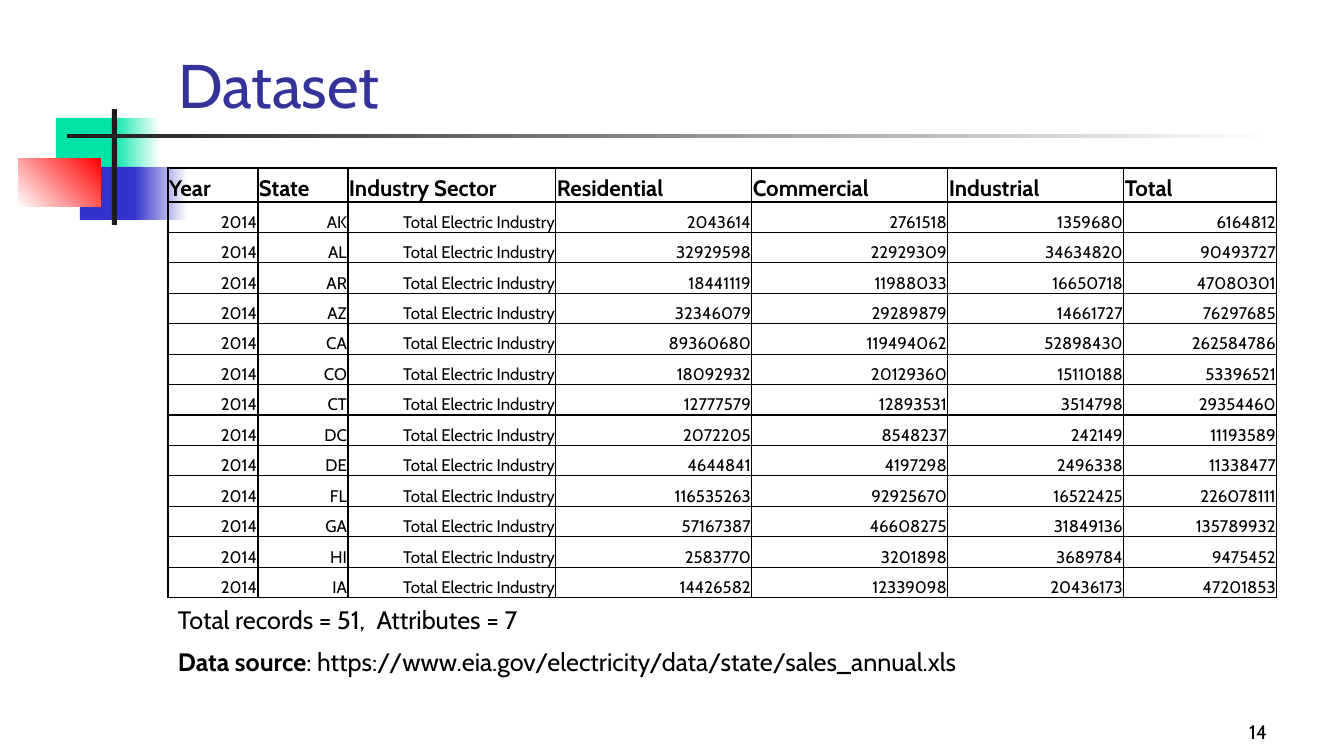
"""Build the Dataset slide with its table of 2014 electricity sales."""
from lxml.etree import SubElement
from pptx import Presentation
from pptx.dml.color import RGBColor
from pptx.enum.shapes import MSO_SHAPE
from pptx.enum.text import MSO_ANCHOR, MSO_AUTO_SIZE, PP_ALIGN
from pptx.oxml import parse_xml
from pptx.oxml.ns import nsdecls, qn
from pptx.util import Emu, Pt

FONT = "Cabin"
BLACK, DARK, WHITE = "000000", "1C1C1C", "FFFFFF"
GREEN, BLUE, RED, NAVY = "00E4A8", "3333CC", "FF0000", "333399"

HEADERS = ["Year", "State", "Industry Sector", "Residential", "Commercial", "Industrial", "Total"]
YEAR, SECTOR = "2014", "Total Electric Industry"
SALES = [
    ("AK", 2043614, 2761518, 1359680, 6164812),
    ("AL", 32929598, 22929309, 34634820, 90493727),
    ("AR", 18441119, 11988033, 16650718, 47080301),
    ("AZ", 32346079, 29289879, 14661727, 76297685),
    ("CA", 89360680, 119494062, 52898430, 262584786),
    ("CO", 18092932, 20129360, 15110188, 53396521),
    ("CT", 12777579, 12893531, 3514798, 29354460),
    ("DC", 2072205, 8548237, 242149, 11193589),
    ("DE", 4644841, 4197298, 2496338, 11338477),
    ("FL", 116535263, 92925670, 16522425, 226078111),
    ("GA", 57167387, 46608275, 31849136, 135789932),
    ("HI", 2583770, 3201898, 3689784, 9475452),
    ("IA", 14426582, 12339098, 20436173, 47201853),
]
COLUMN_WIDTHS = [90, 90, 208, 196, 196, 176, 153]
TABLE_LEFT, TABLE_TOP, TABLE_HEIGHT, HEADER_HEIGHT = 168, 168, 430, 34

DECORATIONS = [
    ((56, 118, 65, 52), [GREEN], 0),
    ((112, 118, 48, 52), [GREEN, WHITE], 0),
    ((80, 167, 62, 53), [BLUE], 0),
    ((134, 167, 54, 53), [BLUE, WHITE], 0),
    ((18, 159, 83, 48), [WHITE, RED], 45),
    ((112, 109, 5, 116), [DARK], 0),
    ((67, 134, 1210, 4), [DARK, WHITE], 0),
]
TITLE = ((168, 0, 1145, 126), [("Dataset", False)],
         {"size": 44, "color": NAVY, "anchor": MSO_ANCHOR.BOTTOM})
NOTES = [
    ((997, 698, 280, 50), [("14", False)],
     {"size": 14, "align": PP_ALIGN.RIGHT, "anchor": MSO_ANCHOR.BOTTOM}),
    ((168, 599, 445, 72), [("Total records = 51,  Attributes = 7", False)], {"size": 18}),
    ((168, 641, 1028, 40),
     [("Data source", True),
      (": https://www.eia.gov/electricity/data/state/sales_annual.xls", False)], {"size": 18}),
]


def px(length):
    return Emu(round(length * 914400 / 100.8))


def rgb(value):
    return RGBColor.from_string(value)


def apply(target, values):
    for name, value in values.items():
        setattr(target, name, value)


def write(frame, spans, size, color=BLACK, align=PP_ALIGN.LEFT, anchor=MSO_ANCHOR.TOP):
    frame.word_wrap = True
    frame.vertical_anchor = anchor
    para = frame.paragraphs[0]
    para.alignment = align
    for text, bold in spans:
        span = para.add_run()
        span.text = text
        apply(span.font, {"name": FONT, "size": Pt(size), "bold": bold})
        span.font.color.rgb = rgb(color)


def add_decoration(page, place, colors, angle):
    block = page.shapes.add_shape(MSO_SHAPE.RECTANGLE, *map(px, place))
    block.shadow.inherit = False
    block.line.fill.background()
    if len(colors) == 1:
        block.fill.solid()
        block.fill.fore_color.rgb = rgb(colors[0])
        return
    block.fill.gradient()
    block.fill.gradient_angle = angle
    for stop, color in zip(block.fill.gradient_stops, colors):
        stop.color.rgb = rgb(color)


def add_borders(cell):
    properties = cell._tc.get_or_add_tcPr()
    for index, side in enumerate("LRTB"):
        line = parse_xml(f'<a:ln{side} {nsdecls("a")} w="12700"/>')
        fill = SubElement(line, qn("a:solidFill"))
        SubElement(fill, qn("a:srgbClr"), val=BLACK)
        properties.insert(index, line)


def fill_cell(cell, text, is_header):
    apply(cell, {"margin_left": px(1), "margin_right": px(1), "margin_top": px(1),
                 "margin_bottom": 0, "vertical_anchor": MSO_ANCHOR.BOTTOM})
    cell.fill.background()
    add_borders(cell)
    para = cell.text_frame.paragraphs[0]
    para.alignment = PP_ALIGN.LEFT if is_header else PP_ALIGN.RIGHT
    span = para.add_run()
    span.text = text
    apply(span.font, {"name": FONT, "size": Pt(16 if is_header else 12), "bold": is_header})
    span.font.color.rgb = rgb(BLACK)


def add_sales_table(page):
    rows = [HEADERS] + [[YEAR, state, SECTOR, *map(str, sales)] for state, *sales in SALES]
    place = (TABLE_LEFT, TABLE_TOP, sum(COLUMN_WIDTHS), TABLE_HEIGHT)
    table = page.shapes.add_table(len(rows), len(HEADERS), *map(px, place)).table
    apply(table, {"first_row": False, "horz_banding": False})
    for column, width in zip(table.columns, COLUMN_WIDTHS):
        column.width = px(width)
    body_height = (TABLE_HEIGHT - HEADER_HEIGHT) / len(SALES)
    for index, (row, texts) in enumerate(zip(table.rows, rows)):
        row.height = px(body_height if index else HEADER_HEIGHT)
        for cell, text in zip(row.cells, texts):
            fill_cell(cell, text, index == 0)


def main():
    deck = Presentation()
    apply(deck, {"slide_width": px(1344), "slide_height": px(756)})
    page = deck.slides.add_slide(deck.slide_layouts[5])
    for decoration in DECORATIONS:
        add_decoration(page, *decoration)
    place, spans, style = TITLE
    title = page.shapes.title
    apply(title, dict(zip(("left", "top", "width", "height"), map(px, place))))
    title.text_frame.auto_size = MSO_AUTO_SIZE.NONE
    write(title.text_frame, spans, **style)
    for place, spans, style in NOTES:
        box = page.shapes.add_textbox(*map(px, place))
        write(box.text_frame, spans, **style)
    add_sales_table(page)
    deck.save("out.pptx")


if __name__ == "__main__":
    main()
